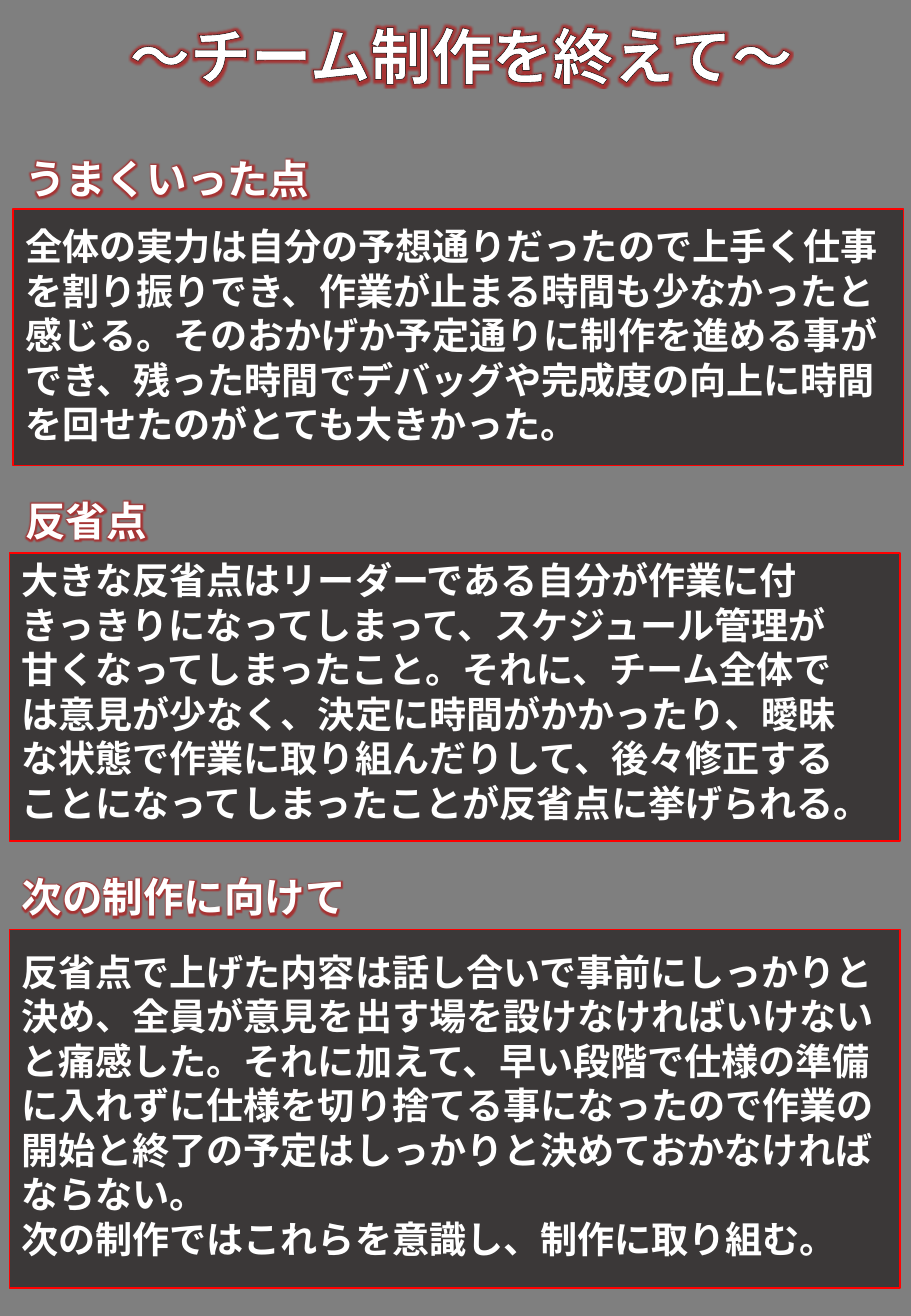
from lxml import etree
from pptx import Presentation
from pptx import util as u
from pptx.dml.color import RGBColor
from pptx.enum import lang, shapes, text
from pptx.oxml import ns

PX = 9144
FONT = "Noto Sans CJK JP"
WHITE, BLACK, RED, GLOW, PANEL = "FFFFFF", "000000", "FF0000", "C00000", "3B3838"

SECTIONS = [
    {
        "heading": ("うまくいった点", (11, 122, 308, 50)),
        "panel": (11, 172, 733, 211),
        "body": (11, 179, 723, 195),
        "paragraphs": [
            "全体の実力は自分の予想通りだったので上手く仕事を割り振りでき、作業が止まる時間も少なかったと感じる。"
            "そのおかげか予定通りに制作を進める事ができ、残った時間でデバッグや完成度の向上に時間を回せたのがとても大きかった。",
        ],
    },
    {
        "heading": ("反省点", (11, 403, 214, 50)),
        "panel": (8, 455, 733, 237),
        "body": (8, 454, 704, 232),
        "paragraphs": [
            "大きな反省点はリーダーである自分が作業に付きっきりになってしまって、スケジュール管理が甘くなってしまったこと。"
            "それに、チーム全体では意見が少なく、決定に時間がかかったり、曖昧な状態で作業に取り組んだりして、"
            "後々修正することになってしまったことが反省点に挙げられる。",
        ],
    },
    {
        "heading": ("次の制作に向けて", (8, 713, 299, 50)),
        "panel": (8, 765, 733, 295),
        "body": (8, 776, 723, 269),
        "paragraphs": [
            "反省点で上げた内容は話し合いで事前にしっかりと決め、全員が意見を出す場を設けなければいけないと痛感した。"
            "それに加えて、早い段階で仕様の準備に入れずに仕様を切り捨てる事になったので"
            "作業の開始と終了の予定はしっかりと決めておかなければならない。",
            "次の制作ではこれらを意識し、制作に取り組む。",
        ],
    },
]


def color(value):
    return RGBColor.from_string(value)


def emu(box):
    return [length * PX for length in box]


def element(parent, tag, **attributes):
    return etree.SubElement(parent, ns.qn(tag), attributes)


def add_rectangle(slide, box, fill, line=None, alpha=None):
    shape = slide.shapes.add_shape(shapes.MSO_SHAPE.RECTANGLE, *emu(box))
    shape.shadow.inherit = False
    shape.fill.solid()
    shape.fill.fore_color.rgb = color(fill)
    if alpha:
        fill_color = shape.fill._xPr.find(".//" + ns.qn("a:srgbClr"))
        element(fill_color, "a:alpha", val=str(alpha * 1000))
    if line:
        shape.line.color.rgb = color(line)
        shape.line.width = u.Pt(1)
    else:
        shape.line.fill.background()


def add_glow(run):
    properties = run._r.get_or_add_rPr()
    effects = etree.Element(ns.qn("a:effectLst"))
    glow = element(effects, "a:glow", rad=str(u.Pt(5)))
    element(element(glow, "a:srgbClr", val=GLOW), "a:alpha", val="60000")
    properties.find(ns.qn("a:solidFill")).addnext(effects)


def add_outline(run):
    outline = etree.Element(ns.qn("a:ln"), w=str(u.Pt(0.75)))
    element(element(outline, "a:solidFill"), "a:srgbClr", val=BLACK)
    run._r.get_or_add_rPr().insert(0, outline)


def add_text(slide, box, paragraphs, size, align=text.PP_ALIGN.LEFT, glow=False, outline=False):
    frame = slide.shapes.add_textbox(*emu(box)).text_frame
    frame.word_wrap = True
    frame.auto_size = text.MSO_AUTO_SIZE.SHAPE_TO_FIT_TEXT
    for index, wording in enumerate(paragraphs):
        paragraph = frame.add_paragraph() if index else frame.paragraphs[0]
        paragraph.alignment = align
        run = paragraph.add_run()
        run.text = wording
        run.font.size = u.Pt(size)
        run.font.bold = True
        run.font.name = FONT
        run.font.language_id = lang.MSO_LANGUAGE_ID.JAPANESE
        run.font.color.rgb = color(WHITE)
        latin = run._r.get_or_add_rPr().find(ns.qn("a:latin"))
        latin.addnext(etree.Element(ns.qn("a:ea"), typeface=FONT))
        if glow:
            add_glow(run)
        if outline:
            add_outline(run)


def add_section(slide, section):
    heading, heading_box = section["heading"]
    add_rectangle(slide, section["panel"], PANEL, RED)
    add_text(slide, heading_box, [heading], 24, glow=True)
    add_text(slide, section["body"], section["paragraphs"], 22)


def main():
    presentation = Presentation()
    presentation.slide_width, presentation.slide_height = emu((750, 1083))
    slide = presentation.slides.add_slide(presentation.slide_layouts[6])
    add_rectangle(slide, (0, 0, 750, 1083), BLACK, alpha=50)
    add_text(slide, (94, 10, 571, 71), ["～チーム制作を終えて～"], 36,
             text.PP_ALIGN.CENTER, glow=True, outline=True)
    for section in SECTIONS:
        add_section(slide, section)
    presentation.save("out.pptx")


if __name__ == "__main__":
    main()
